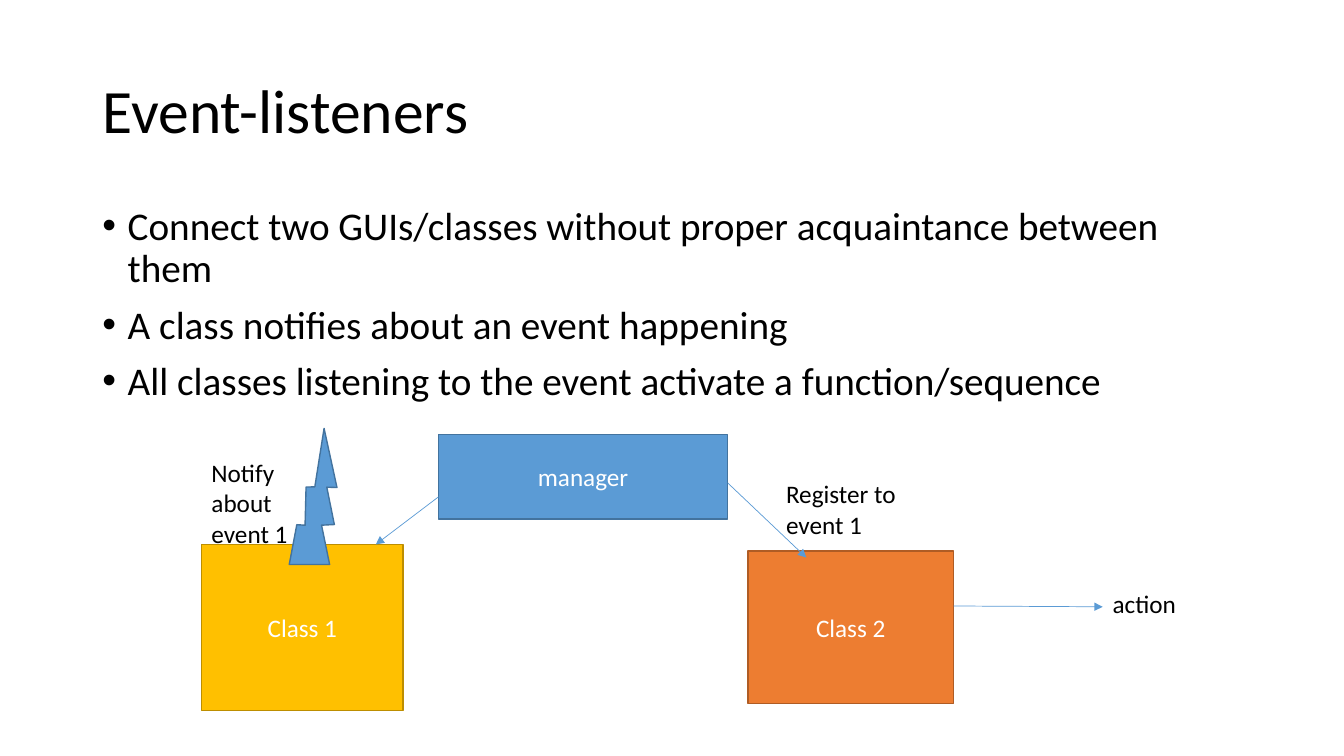
from dataclasses import dataclass

from lxml.etree import SubElement
from pptx import Presentation
from pptx.dml.color import RGBColor
from pptx.enum.shapes import MSO_CONNECTOR, MSO_SHAPE
from pptx.enum.text import MSO_ANCHOR, PP_ALIGN
from pptx.oxml.ns import qn
from pptx.util import Cm, Pt


@dataclass(frozen=True)
class Theme:
    font: str = "Calibri"
    title_size: int = 44
    bullet_size: int = 28
    label_size: int = 18
    text: str = "000000"
    light_text: str = "FFFFFF"
    blue: str = "5B9BD5"
    blue_edge: str = "43739E"
    gold: str = "FFC000"
    gold_edge: str = "BD8E00"
    orange: str = "ED7D31"
    orange_edge: str = "AF5C24"
    edge_width: float = 1
    arrow_width: float = 0.5


THEME = Theme()
LEFT_MARGIN, CONTENT_WIDTH = 2.33, 29.21


def set_all(target, values):
    for name, value in values.items():
        setattr(target, name, value)


def write(para, text, size, color=THEME.text, **para_format):
    set_all(para, para_format)
    span = para.add_run()
    span.text = text
    set_all(span.font, {"name": THEME.font, "size": Pt(size)})
    span.font.color.rgb = RGBColor.from_string(color)


def add_title(page, text):
    title = page.shapes.title
    set_all(title, {"left": Cm(LEFT_MARGIN), "top": Cm(1.02),
                    "width": Cm(CONTENT_WIDTH), "height": Cm(3.68)})
    title.text_frame.vertical_anchor = MSO_ANCHOR.MIDDLE
    write(title.text_frame.paragraphs[0], text, THEME.title_size,
          alignment=PP_ALIGN.LEFT, line_spacing=0.9)


def add_text_box(page, place):
    box = page.shapes.add_textbox(*map(Cm, place))
    box.text_frame.word_wrap = True
    return box.text_frame


def add_label(page, text, place):
    write(add_text_box(page, place).paragraphs[0], text, THEME.label_size)


def add_bullets(page, lines, place):
    frame = add_text_box(page, place)
    for index, line in enumerate(lines):
        para = frame.add_paragraph() if index else frame.paragraphs[0]
        write(para, line, THEME.bullet_size, line_spacing=0.9, space_before=Pt(10))
        properties = para._p.get_or_add_pPr()
        properties.set("marL", str(Cm(0.64)))
        properties.set("indent", str(-Cm(0.64)))
        SubElement(properties, qn("a:buFont")).set("typeface", "Arial")
        SubElement(properties, qn("a:buChar")).set("char", "•")


def add_block(page, kind, place, fill, edge, text="", rotation=0):
    block = page.shapes.add_shape(kind, *map(Cm, place))
    block.rotation = rotation
    block.shadow.inherit = False
    block.fill.solid()
    block.fill.fore_color.rgb = RGBColor.from_string(fill)
    block.line.color.rgb = RGBColor.from_string(edge)
    block.line.width = Pt(THEME.edge_width)
    if text:
        block.text_frame.vertical_anchor = MSO_ANCHOR.MIDDLE
        write(block.text_frame.paragraphs[0], text, THEME.label_size,
              THEME.light_text, alignment=PP_ALIGN.CENTER)


def add_arrow(page, start, end):
    arrow = page.shapes.add_connector(MSO_CONNECTOR.STRAIGHT, *map(Cm, start + end))
    arrow.line.color.rgb = RGBColor.from_string(THEME.blue)
    arrow.line.width = Pt(THEME.arrow_width)
    SubElement(arrow.line._get_or_add_ln(), qn("a:tailEnd")).set("type", "triangle")
    SubElement(arrow._element.spPr, qn("a:effectLst"))


def main():
    deck = Presentation()
    set_all(deck, {"slide_width": Cm(33.87), "slide_height": Cm(19.05)})
    page = deck.slides.add_slide(deck.slide_layouts.get_by_name("Title Only"))

    add_title(page, "Event-listeners")
    add_bullets(page, [
        "Connect two GUIs/classes without proper acquaintance between them",
        "A class notifies about an event happening",
        "All classes listening to the event activate a function/sequence",
    ], (LEFT_MARGIN, 5.08, CONTENT_WIDTH, 12.09))

    for text, place, fill, edge in (
        ("Class 1", (5.08, 13.72, 5.08, 4.19), THEME.gold, THEME.gold_edge),
        ("manager", (11.05, 10.95, 7.29, 2.13), THEME.blue, THEME.blue_edge),
        ("Class 2", (18.85, 13.89, 5.18, 3.84), THEME.orange, THEME.orange_edge),
    ):
        add_block(page, MSO_SHAPE.RECTANGLE, place, fill, edge, text)

    for text, place in (
        ("Notify about event 1", (5.08, 11.4, 2.87, 2.57)),
        ("Register to event 1", (19.56, 11.94, 4.47, 1.8)),
        ("action", (27.79, 14.71, 3.76, 1.02)),
    ):
        add_label(page, text, place)

    add_block(page, MSO_SHAPE.LIGHTNING_BOLT, (7.01, 11.1, 2.11, 3.3),
              THEME.blue, THEME.blue_edge, rotation=215.6)

    for start, end in (
        ((18.34, 12.17), (20.32, 14.05)),
        ((11.05, 12.52), (9.47, 13.72)),
        ((24.03, 15.27), (27.79, 15.29)),
    ):
        add_arrow(page, start, end)

    deck.save("out.pptx")


if __name__ == "__main__":
    main()
